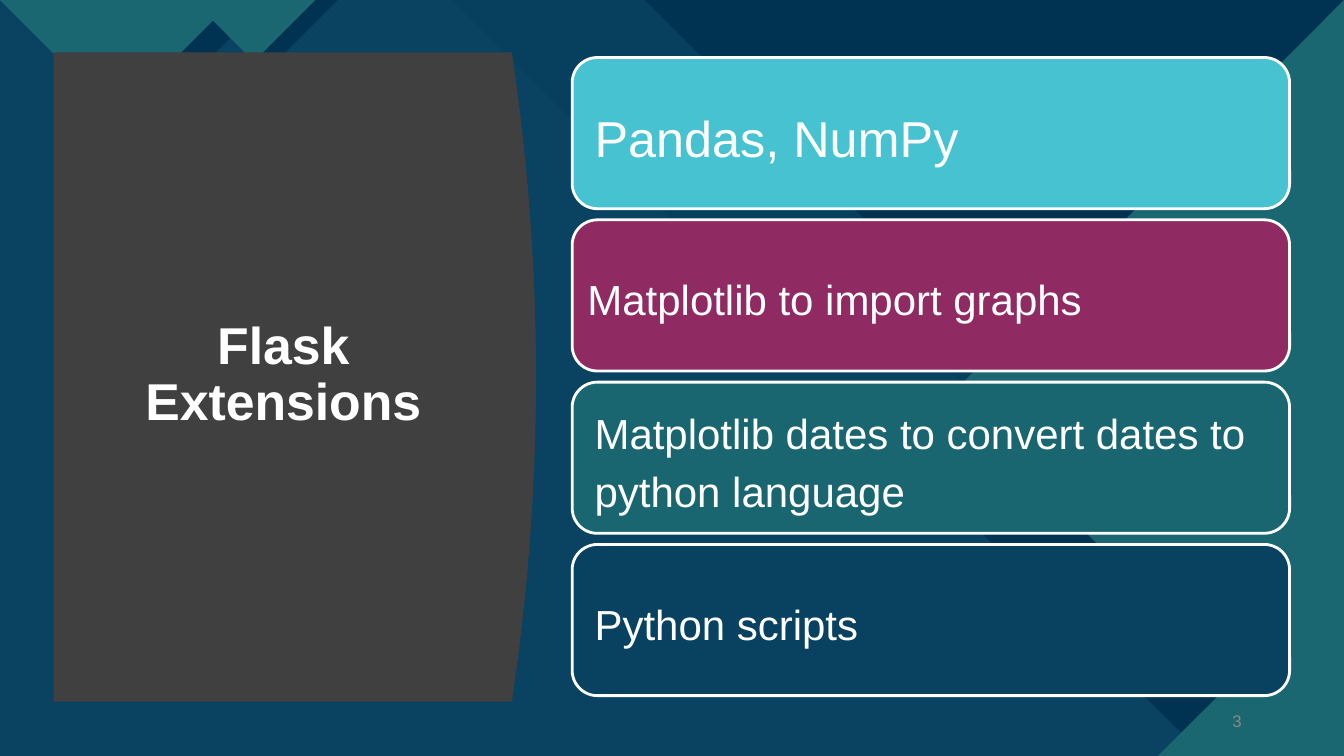
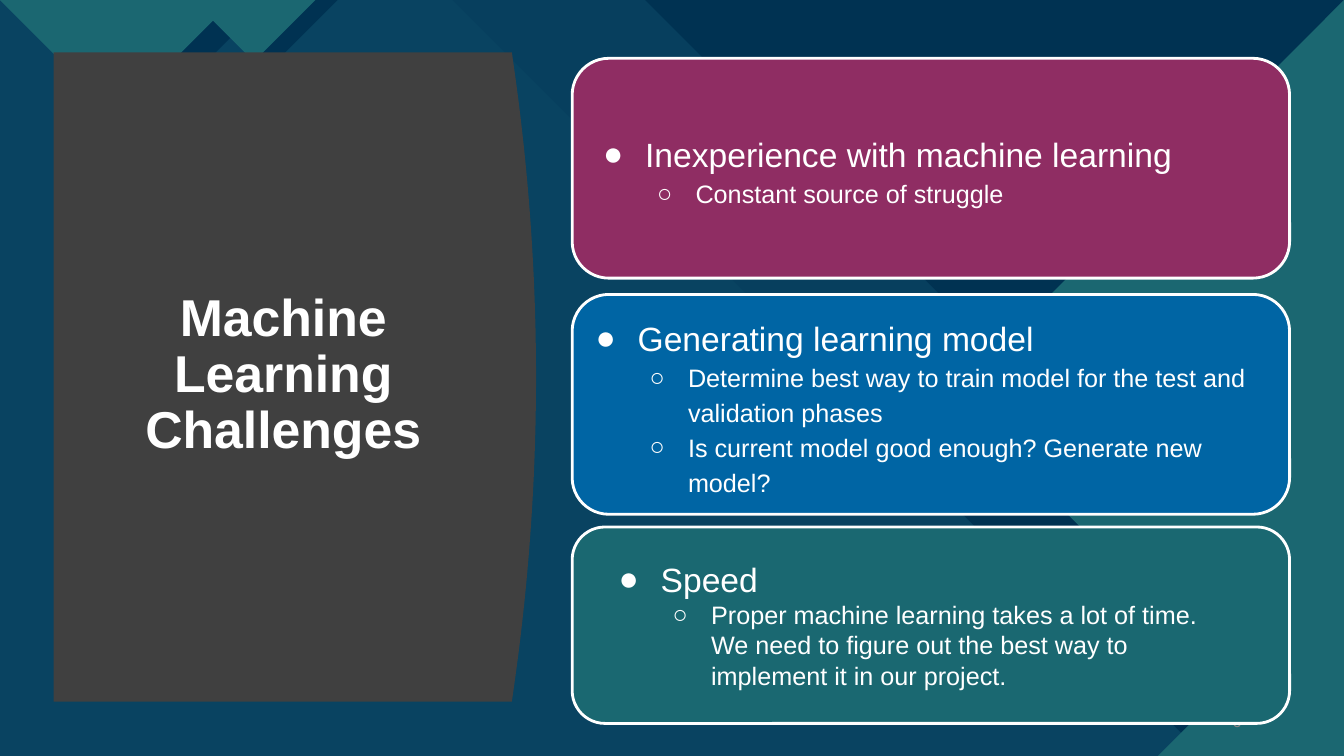
"""Build two panel-and-card slides on one shared geometric layout."""

from dataclasses import dataclass

import pptx
import pptx.dml.color
import pptx.enum.shapes
import pptx.enum.text
import pptx.oxml.ns
import pptx.util
from lxml import etree

Cm = pptx.util.Cm
Pt = pptx.util.Pt
RGBColor = pptx.dml.color.RGBColor
Align = pptx.enum.text.PP_ALIGN
Anchor = pptx.enum.text.MSO_ANCHOR

NAVY = RGBColor(0x09, 0x43, 0x61)
DIM_NAVY = RGBColor(0x07, 0x3F, 0x5E)
MIDNIGHT = RGBColor(0x00, 0x32, 0x52)
TEAL = RGBColor(0x1B, 0x67, 0x71)
CHARCOAL = RGBColor(0x40, 0x40, 0x40)
GREY = RGBColor(0x88, 0x88, 0x88)
WHITE = RGBColor(0xFF, 0xFF, 0xFF)
CARD_CYAN = RGBColor(0x46, 0xC2, 0xD1)
CARD_PLUM = RGBColor(0x8F, 0x2A, 0x62)
CARD_BERRY = RGBColor(0x8F, 0x2D, 0x63)
CARD_TEAL = RGBColor(0x19, 0x66, 0x71)
CARD_PINE = RGBColor(0x1A, 0x68, 0x71)
CARD_NAVY = RGBColor(0x09, 0x42, 0x60)
CARD_BLUE = RGBColor(0x00, 0x65, 0xA4)

FONT = "Arial"
WIDTH, HEIGHT = 33.87, 19.05
CARD_LEFT, CARD_WIDTH = 14.42, 18.08
PANEL_LEFT, PANEL_TOP, PANEL_BOTTOM = 1.35, 1.32, 17.68
PANEL_EDGE, PANEL_BULGE, PANEL_STEPS = 12.9, 0.61, 40

Point = tuple[float, float]


@dataclass(frozen=True)
class Bullet:
    """Bullet character with its indents in centimetres and its text size."""

    char: str
    level: int
    margin: float
    hang: float
    size: float


@dataclass(frozen=True)
class Line:
    """One paragraph of a card."""

    text: str
    size: float = 30
    bullet: Bullet | None = None


@dataclass(frozen=True)
class Card:
    """Rounded card with its lines and text insets in centimetres."""

    top: float
    height: float
    fill: RGBColor
    lines: tuple[Line, ...]
    inset_left: float = 0.38
    inset_right: float = 0.38
    inset_top: float = 0.2
    anchor: Anchor = Anchor.MIDDLE
    spacing: float = 1.15


@dataclass(frozen=True)
class Page:
    """Content of one slide."""

    title: str
    number: str
    cards: tuple[Card, ...]


DOT = Bullet("●", 0, 1.27, 1.06, 24)
RING = Bullet("○", 1, 2.54, 0.97, 18)


def top_triangle(left: float, right: float) -> tuple[Point, ...]:
    """Return a right-angled triangle hanging from the top edge."""
    half = (right - left) / 2
    return (left, 0), (right, 0), (left + half, half)


BACKDROP: tuple[tuple[RGBColor, tuple[Point, ...]], ...] = (
    (DIM_NAVY, ((11.4, 0), (16.26, 0), (WIDTH, 17.6), (WIDTH, HEIGHT),
                (33.66, HEIGHT), (22.15, 7.54), (18.95, 7.54))),
    (MIDNIGHT, ((16.26, 0), (WIDTH, 0), (WIDTH, 17.6))),
    (MIDNIGHT, ((WIDTH, 1.73), (WIDTH, HEIGHT), (30.35, HEIGHT), (23.44, 12.14))),
    (TEAL, ((WIDTH, 0), (WIDTH, HEIGHT), (32.99, HEIGHT), (23.93, 9.98))),
    (MIDNIGHT, ((WIDTH, 15.6), (WIDTH, HEIGHT), (30.4, HEIGHT))),
    (TEAL, ((WIDTH, 14.38), (WIDTH, HEIGHT), (29.18, HEIGHT))),
    (MIDNIGHT, top_triangle(0.74, 6.76)),
    (TEAL, top_triangle(0, 5.89)),
    (MIDNIGHT, top_triangle(5.31, 8.51)),
    (TEAL, top_triangle(4.85, 7.95)),
)


def panel_outline() -> tuple[Point, ...]:
    """Return the title panel with its bulging right edge."""
    middle = (PANEL_TOP + PANEL_BOTTOM) / 2
    half = (PANEL_BOTTOM - PANEL_TOP) / 2
    steps = [2 * i / PANEL_STEPS - 1 for i in range(PANEL_STEPS + 1)]
    edge = [(PANEL_EDGE + PANEL_BULGE * (1 - t * t), middle + half * t) for t in steps]
    return (PANEL_LEFT, PANEL_TOP), *edge, (PANEL_LEFT, PANEL_BOTTOM)


def set_bullet(paragraph, bullet: Bullet) -> None:
    """Give a paragraph its indents and a white bullet."""
    paragraph.level = bullet.level
    properties = paragraph._p.get_or_add_pPr()
    properties.set("marL", str(Cm(bullet.margin)))
    properties.set("indent", str(-Cm(bullet.hang)))
    qn = pptx.oxml.ns.qn
    colour = etree.SubElement(properties, qn("a:buClr"))
    etree.SubElement(colour, qn("a:srgbClr"), val=str(WHITE))
    etree.SubElement(properties, qn("a:buFont"), typeface=FONT)
    etree.SubElement(properties, qn("a:buChar"), char=bullet.char)


def write(paragraph, text: str, *, size: float, color: RGBColor = WHITE,
          bold: bool = False, align: Align = Align.LEFT, spacing: float = 1.0,
          bullet: Bullet | None = None) -> None:
    """Write formatted text into a paragraph."""
    paragraph.alignment = align
    paragraph.line_spacing = spacing
    if bullet:
        set_bullet(paragraph, bullet)
    run = paragraph.add_run()
    run.text = text
    run.font.name = FONT
    run.font.size = Pt(size)
    run.font.bold = bold
    run.font.color.rgb = color


def add_polygon(slide, points: tuple[Point, ...], fill: RGBColor):
    """Draw a filled outline without a border."""
    start, *rest = [(Cm(x), Cm(y)) for x, y in points]
    builder = slide.shapes.build_freeform(*start)
    builder.add_line_segments(rest, close=True)
    polygon = builder.convert_to_shape()
    polygon.shadow.inherit = False
    polygon.fill.solid()
    polygon.fill.fore_color.rgb = fill
    polygon.line.fill.background()
    return polygon


def add_card(slide, card: Card) -> None:
    """Draw a rounded card with its text."""
    box = slide.shapes.add_shape(
        pptx.enum.shapes.MSO_SHAPE.ROUNDED_RECTANGLE,
        Cm(CARD_LEFT), Cm(card.top), Cm(CARD_WIDTH), Cm(card.height))
    box.shadow.inherit = False
    box.fill.solid()
    box.fill.fore_color.rgb = card.fill
    box.line.color.rgb = WHITE
    box.line.width = Pt(2)
    frame = box.text_frame
    frame.word_wrap = True
    frame.vertical_anchor = card.anchor
    frame.margin_left, frame.margin_right = Cm(card.inset_left), Cm(card.inset_right)
    frame.margin_top, frame.margin_bottom = Cm(card.inset_top), Cm(0.2)
    for index, line in enumerate(card.lines):
        paragraph = frame.add_paragraph() if index else frame.paragraphs[0]
        write(paragraph, line.text, size=line.size, spacing=card.spacing,
              bullet=line.bullet)


def add_title(slide, text: str) -> None:
    """Place the title over the panel."""
    title = slide.shapes.title
    title.left, title.top, title.width, title.height = (
        Cm(2.39), Cm(2.82), Cm(9.5), Cm(13.31))
    frame = title.text_frame
    frame.word_wrap = True
    frame.auto_size = pptx.enum.text.MSO_AUTO_SIZE.NONE
    frame.vertical_anchor = Anchor.MIDDLE
    write(frame.paragraphs[0], text, size=37, bold=True, align=Align.CENTER,
          spacing=0.9)


def add_page_number(slide, number: str) -> None:
    """Write the page number at the lower right."""
    box = slide.shapes.add_textbox(Cm(29.79), Cm(17.65), Cm(1.75), Cm(1.02))
    frame = box.text_frame
    frame.word_wrap = True
    frame.vertical_anchor = Anchor.MIDDLE
    write(frame.paragraphs[0], number, size=12, color=GREY, align=Align.RIGHT)
    frame.paragraphs[0].space_after = Pt(6)


def decorate_layout(layout, slide) -> None:
    """Put the backdrop and title panel on the layout."""
    layout.background.fill.solid()
    layout.background.fill.fore_color.rgb = NAVY
    tree = layout.shapes.element
    for placeholder in list(layout.placeholders)[1:]:
        tree.remove(placeholder.element)
    outlines = (*BACKDROP, (CHARCOAL, panel_outline()))
    polygons = [add_polygon(slide, points, fill) for fill, points in outlines]
    for polygon in polygons:
        tree.append(polygon.element)


def bulleted(heading: str, *details: str) -> tuple[Line, ...]:
    """Return a heading line followed by its detail lines."""
    return (Line(heading, DOT.size, DOT),
            *(Line(detail, RING.size, RING) for detail in details))


def extension_card(row: int, text: str, fill: RGBColor, size: float = 30,
                   inset_left: float = 0.38) -> Card:
    """Return a one-line card in an evenly spaced stack."""
    return Card(1.45 + 4.09 * row, 3.81, fill, (Line(text, size),), inset_left)


PAGES = (
    Page("Flask Extensions", "3", (
        extension_card(0, "Pandas, NumPy", CARD_CYAN, size=36),
        extension_card(1, "Matplotlib to import graphs", CARD_PLUM, inset_left=0.2),
        extension_card(2, "Matplotlib dates to convert dates to python language",
                       CARD_TEAL),
        extension_card(3, "Python scripts", CARD_NAVY),
    )),
    Page("Machine Learning Challenges", "6", (
        Card(1.47, 5.54, CARD_BERRY,
             bulleted("Inexperience with machine learning",
                      "Constant source of struggle"),
             inset_left=0.3, inset_right=0.3),
        Card(7.42, 5.54, CARD_BLUE,
             bulleted("Generating learning model",
                      "Determine best way to train model for the test and "
                      "validation phases",
                      "Is current model good enough? Generate new model?"),
             inset_left=0.11, inset_right=0.47),
        Card(13.28, 4.95, CARD_PINE,
             bulleted("Speed",
                      "Proper machine learning takes a lot of time. We need to "
                      "figure out the best way to implement it in our project."),
             inset_left=0.72, inset_right=0.98, inset_top=0.57,
             anchor=Anchor.TOP, spacing=1.0),
    )),
)


def main() -> None:
    """Build and save the presentation."""
    presentation = pptx.Presentation()
    presentation.slide_width, presentation.slide_height = Cm(WIDTH), Cm(HEIGHT)
    layout = presentation.slide_layouts[5]
    slides = [presentation.slides.add_slide(layout) for _ in PAGES]
    decorate_layout(layout, slides[0])
    for slide, page in zip(slides, PAGES):
        add_title(slide, page.title)
        add_page_number(slide, page.number)
        for card in page.cards:
            add_card(slide, card)
    presentation.save("out.pptx")


if __name__ == "__main__":
    main()
